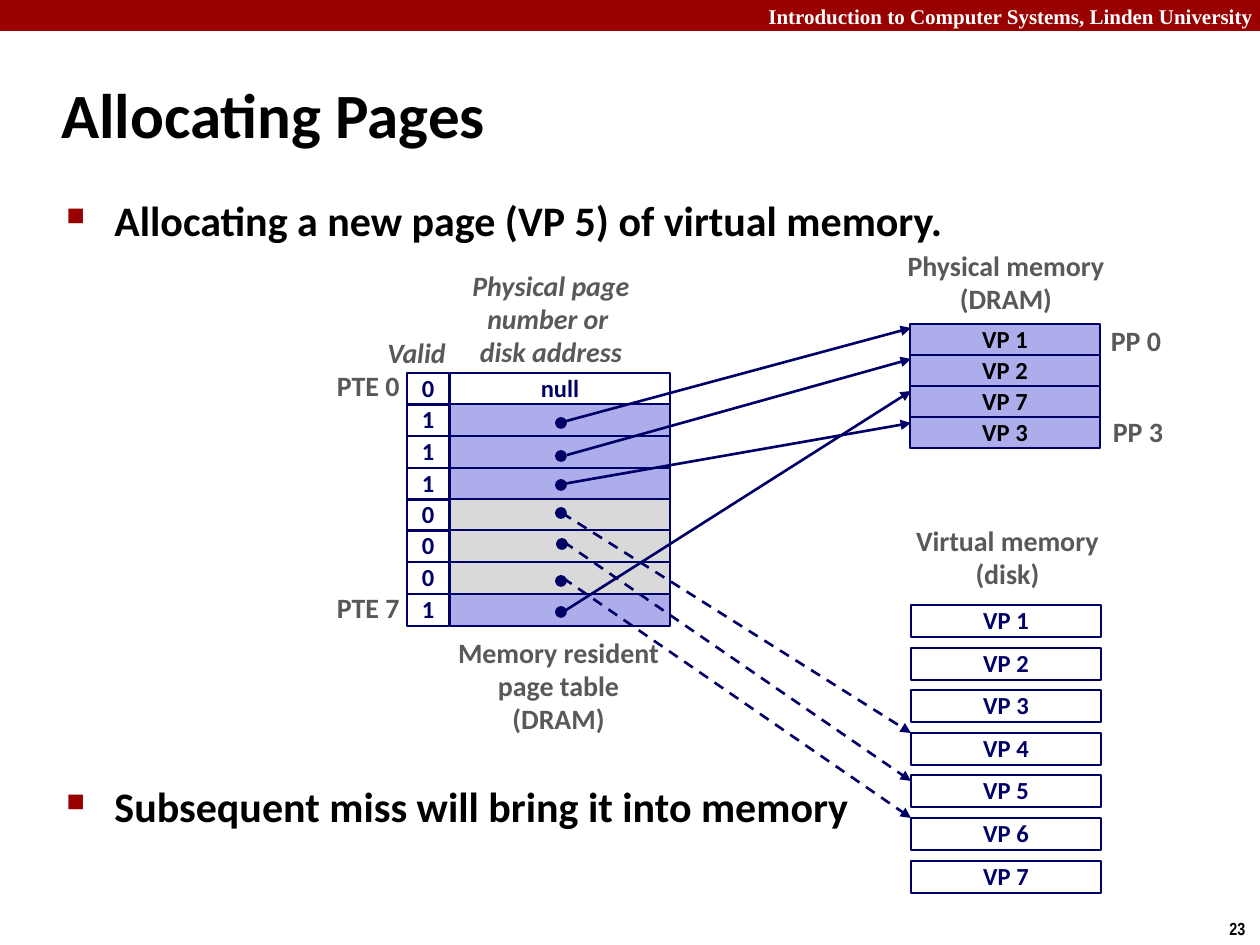
from dataclasses import dataclass
from typing import NamedTuple, Optional

from lxml import etree
from pptx import Presentation
from pptx import util as u
from pptx.dml.color import RGBColor
from pptx.enum import dml, shapes, text
from pptx.oxml import ns

SCALE = 914400 / 126
LEFT, CENTER, RIGHT = text.PP_ALIGN.LEFT, text.PP_ALIGN.CENTER, text.PP_ALIGN.RIGHT


@dataclass(frozen=True)
class Theme:
    red: RGBColor = RGBColor(0x99, 0x00, 0x00)
    navy: RGBColor = RGBColor(0x00, 0x00, 0x66)
    lilac: RGBColor = RGBColor(0xAD, 0xAD, 0xEB)
    light_gray: RGBColor = RGBColor(0xD9, 0xD9, 0xD9)
    dark_gray: RGBColor = RGBColor(0x59, 0x59, 0x59)
    white: RGBColor = RGBColor(0xFF, 0xFF, 0xFF)
    black: RGBColor = RGBColor(0x00, 0x00, 0x00)
    body_font: str = "Calibri"
    header_font: str = "Times New Roman"
    number_font: str = "Arial Narrow"
    title_size: int = 36
    body_size: int = 24
    label_size: int = 16
    cell_size: int = 14
    header_size: int = 12
    number_size: int = 10
    line_width: float = 1.5


THEME = Theme()


class Box(NamedTuple):
    left: int
    top: int
    width: int
    height: int


class Style(NamedTuple):
    size: int
    color: RGBColor
    font: str = THEME.body_font
    italic: bool = False


class Label(NamedTuple):
    box: Box
    lines: tuple[str, ...]
    align: text.PP_ALIGN = CENTER
    italic: bool = False


class Entry(NamedTuple):
    valid: str
    fill: RGBColor
    content: str = ""


class Link(NamedTuple):
    dot_left: int
    dot_top: int
    start: tuple[int, int]
    end: tuple[int, int]
    dashed: bool = False


def px(value: float) -> u.Emu:
    return u.Emu(round(value * SCALE))


def add_run(paragraph, words: str, style: Style) -> None:
    run = paragraph.add_run()
    run.text = words
    run.font.name = style.font
    run.font.size = u.Pt(style.size)
    run.font.bold = True
    run.font.italic = style.italic
    run.font.color.rgb = style.color


def write_lines(frame, lines: tuple[str, ...], style: Style, align: text.PP_ALIGN,
                spacing: Optional[float] = None) -> None:
    for index, words in enumerate(lines):
        paragraph = frame.add_paragraph() if index else frame.paragraphs[0]
        paragraph.alignment = align
        if spacing:
            paragraph.line_spacing = spacing
        add_run(paragraph, words, style)


def add_text(slide, box: Box, lines: tuple[str, ...], style: Style,
             align: text.PP_ALIGN = LEFT, wrap: bool = True,
             spacing: Optional[float] = None):
    shape = slide.shapes.add_textbox(*map(px, box))
    frame = shape.text_frame
    frame.word_wrap = wrap
    frame.vertical_anchor = text.MSO_ANCHOR.MIDDLE
    write_lines(frame, lines, style, align, spacing)
    return shape


def add_shape(slide, kind: shapes.MSO_SHAPE, box: Box, fill: Optional[RGBColor],
              line: Optional[RGBColor] = None, line_width: float = THEME.line_width):
    shape = slide.shapes.add_shape(kind, *map(px, box))
    shape.shadow.inherit = False
    if fill is None:
        shape.fill.background()
    else:
        shape.fill.solid()
        shape.fill.fore_color.rgb = fill
    if line is None:
        shape.line.fill.background()
    else:
        shape.line.color.rgb = line
        shape.line.width = u.Pt(line_width)
    return shape


def add_cell(slide, box: Box, fill: Optional[RGBColor], words: str = "",
             color: RGBColor = THEME.navy) -> None:
    shape = add_shape(slide, shapes.MSO_SHAPE.RECTANGLE, box, fill, THEME.navy)
    if words:
        frame = shape.text_frame
        frame.word_wrap = False
        frame.vertical_anchor = text.MSO_ANCHOR.MIDDLE
        write_lines(frame, (words,), Style(THEME.cell_size, color), CENTER, 0.98)


def add_link(slide, link: Link) -> None:
    connector = slide.shapes.add_connector(
        shapes.MSO_CONNECTOR.STRAIGHT, *map(px, link.start + link.end))
    connector.line.color.rgb = THEME.navy
    connector.line.width = u.Pt(THEME.line_width)
    if link.dashed:
        connector.line.dash_style = dml.MSO_LINE.DASH
    etree.SubElement(connector.line._get_or_add_ln(), ns.qn("a:tailEnd"), type="triangle")
    etree.SubElement(connector._element.spPr, ns.qn("a:effectLst"))
    add_shape(slide, shapes.MSO_SHAPE.OVAL, Box(link.dot_left, link.dot_top, 10, 10),
              THEME.navy, THEME.navy, 1)


def add_bullets(slide, box: Box, lines: tuple[str, ...], gap: int) -> None:
    frame = add_text(slide, box, lines, Style(THEME.body_size, THEME.black)).text_frame
    frame.vertical_anchor = text.MSO_ANCHOR.TOP
    for index, paragraph in enumerate(frame.paragraphs):
        if index:
            paragraph.space_before = u.Pt(gap)
        properties = paragraph._p.get_or_add_pPr()
        properties.set("marL", str(px(48)))
        properties.set("indent", str(px(-48)))
        color = etree.SubElement(properties, ns.qn("a:buClr"))
        etree.SubElement(color, ns.qn("a:srgbClr"), val=str(THEME.red))
        etree.SubElement(properties, ns.qn("a:buSzPct"), val="60000")
        etree.SubElement(properties, ns.qn("a:buChar"), char="■")


ENTRIES = (
    Entry("0", THEME.white, "null"),
    *[Entry("1", THEME.lilac)] * 3,
    *[Entry("0", THEME.light_gray)] * 3,
    Entry("1", THEME.lilac),
)
PHYSICAL_PAGES = ("VP 1", "VP 2", "VP 7", "VP 3")
LABELS = (
    Label(Box(442, 631, 233, 112), ("Memory resident", "page table", "(DRAM)")),
    Label(Box(894, 243, 224, 80), ("Physical memory", "(DRAM)")),
    Label(Box(901, 518, 213, 80), ("Virtual memory", "(disk)")),
    Label(Box(375, 331, 95, 46), ("Valid",), LEFT, True),
    Label(Box(459, 264, 184, 112), ("Physical page", "number or ", "disk address"), italic=True),
    Label(Box(324, 364, 88, 46), ("PTE 0",), RIGHT),
    Label(Box(324, 586, 88, 46), ("PTE 7",), RIGHT),
    Label(Box(1098, 319, 76, 46), ("PP 0",)),
    Label(Box(1100, 410, 76, 46), ("PP 3",)),
)
LINKS = (
    Link(556, 418, (559, 423), (911, 328)),
    Link(556, 451, (567, 455), (911, 359)),
    Link(556, 480, (563, 484), (911, 423)),
    Link(556, 508, (562, 513), (911, 733), True),
    Link(557, 539, (564, 542), (911, 781), True),
    Link(556, 576, (563, 578), (911, 818), True),
    Link(556, 607, (563, 612), (911, 391)),
)


def main() -> None:
    presentation = Presentation()
    presentation.slide_width, presentation.slide_height = px(1260), px(945)
    slide = presentation.slides.add_slide(presentation.slide_layouts[6])

    add_shape(slide, shapes.MSO_SHAPE.RECTANGLE, Box(0, 0, 1260, 31), THEME.red)
    add_text(slide, Box(756, -3, 513, 38),
             ("Introduction to Computer Systems, Linden University",),
             Style(THEME.header_size, THEME.white, THEME.header_font), wrap=False)
    add_text(slide, Box(1217, 911, 43, 34), ("23",),
             Style(THEME.number_size, THEME.black, THEME.number_font), wrap=False)
    add_text(slide, Box(49, 61, 1046, 104), ("Allocating Pages",),
             Style(THEME.title_size, THEME.black))
    add_bullets(slide, Box(54, 188, 1089, 685),
                ("Allocating a new page (VP 5) of virtual memory.",
                 "Subsequent miss will bring it into memory"), 306)

    for row, entry in enumerate(ENTRIES):
        top = round(373 + 31.5 * row)
        add_cell(slide, Box(450, top, 220, 32), entry.fill, entry.content)
        add_cell(slide, Box(407, top, 42, 32), None, entry.valid)
    for row, page in enumerate(PHYSICAL_PAGES):
        add_cell(slide, Box(910, 324 + 31 * row, 190, 31), THEME.lilac, page, THEME.black)
    for row in range(7):
        add_cell(slide, Box(911, round(605 + 42.6 * row), 190, 32), THEME.white, f"VP {row + 1}")
    for label in LABELS:
        add_text(slide, label.box, label.lines,
                 Style(THEME.label_size, THEME.dark_gray, italic=label.italic),
                 label.align, False, 0.98)
    for link in LINKS:
        add_link(slide, link)

    presentation.save("out.pptx")


main()
